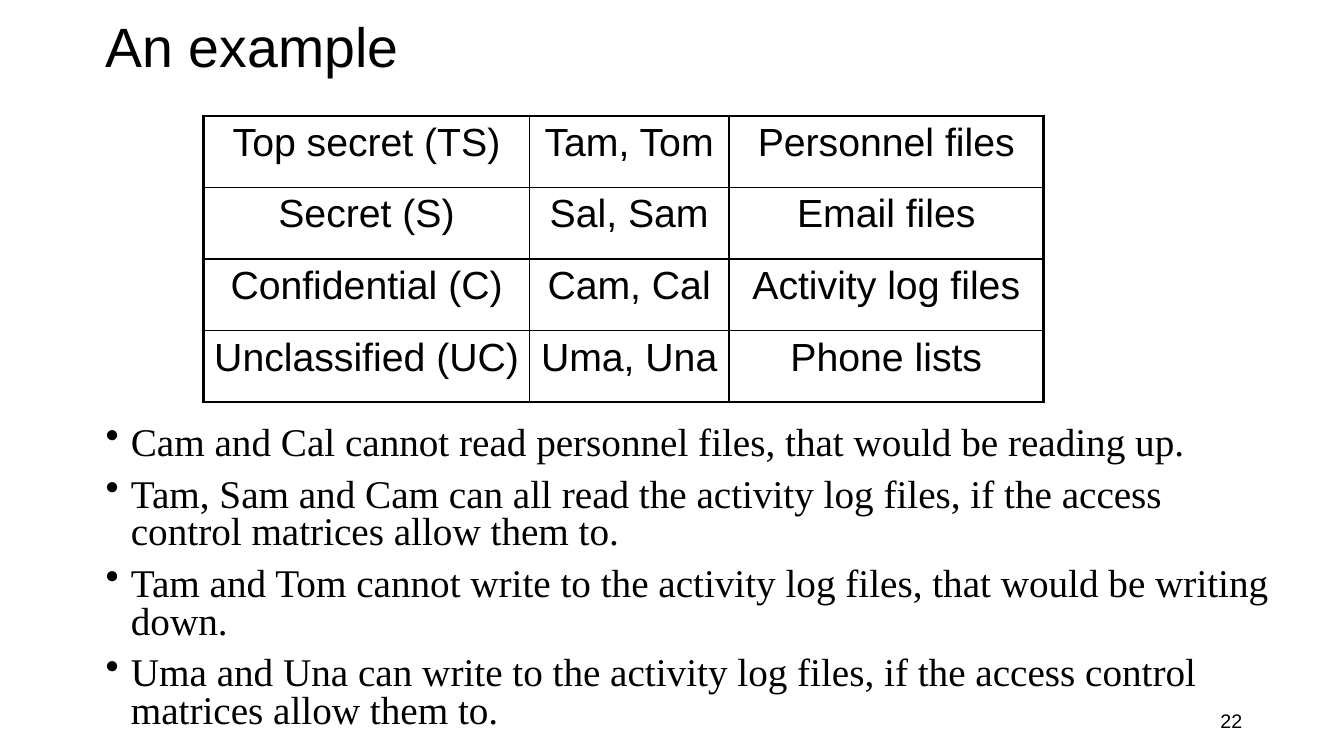
import dataclasses

import pptx
import pptx.dml.color
import pptx.enum.text
import pptx.oxml.ns
import pptx.util
from lxml import etree

Inches = pptx.util.Inches
Pt = pptx.util.Pt
ALIGN = pptx.enum.text.PP_ALIGN
ANCHOR = pptx.enum.text.MSO_ANCHOR


@dataclasses.dataclass(frozen=True)
class Theme:
    ink: str = "000000"
    sans: str = "Arial"
    serif: str = "Times New Roman"
    title: float = 39.6
    body: float = 28
    number: float = 14
    outer_line: float = 2.25
    inner_line: float = 1


class Deck:
    def __init__(self, prs, theme):
        self.theme = theme
        self.slide = prs.slides.add_slide(prs.slide_layouts[6])

    def style(self, p, size, font):
        for r in p.runs:
            r.font.size = Pt(size)
            r.font.name = font
            r.font.color.rgb = pptx.dml.color.RGBColor.from_string(self.theme.ink)

    def text(self, box, lines, size, font, anchor=ANCHOR.MIDDLE,
             align=ALIGN.LEFT, spacing=1.0):
        sp = self.slide.shapes.add_textbox(*map(Inches, box))
        tf = sp.text_frame
        tf.word_wrap = True
        tf.vertical_anchor = anchor
        tf.text = "\n".join(lines)
        for p in tf.paragraphs:
            p.alignment = align
            p.line_spacing = spacing
            self.style(p, size, font)
        return tf

    def bullets(self, box, lines):
        tf = self.text(box, lines, self.theme.body, self.theme.serif,
                       anchor=ANCHOR.TOP, spacing=0.8)
        for p in tf.paragraphs:
            p.space_before = Pt(10)
            pPr = p._p.get_or_add_pPr()
            pPr.set("marL", str(Inches(0.25)))
            pPr.set("indent", str(Inches(-0.25)))
            bullet = etree.SubElement(pPr, pptx.oxml.ns.qn("a:buChar"))
            bullet.set("char", "•")

    def border(self, cell, side, width):
        qn = pptx.oxml.ns.qn
        ln = etree.SubElement(cell._tc.get_or_add_tcPr(), qn("a:ln" + side))
        ln.set("w", str(Pt(width)))
        fill = etree.SubElement(ln, qn("a:solidFill"))
        etree.SubElement(fill, qn("a:srgbClr")).set("val", self.theme.ink)

    def table(self, left, top, widths, row_height, rows):
        last_row, last_col = len(rows) - 1, len(widths) - 1
        frame = self.slide.shapes.add_table(
            len(rows), len(widths), Inches(left), Inches(top),
            Inches(sum(widths)), Inches(row_height * len(rows)))
        table = frame.table
        table.first_row = table.horz_banding = False
        for column, width in zip(table.columns, widths):
            column.width = Inches(width)
        for i, row in enumerate(rows):
            table.rows[i].height = Inches(row_height)
            for j, value in enumerate(row):
                cell = table.cell(i, j)
                cell.text = value
                p = cell.text_frame.paragraphs[0]
                p.alignment = ALIGN.CENTER
                self.style(p, self.theme.body, self.theme.sans)
                # Heavy frame outside, thin rules inside
                outer = {"L": j == 0, "R": j == last_col,
                         "T": i == 0, "B": i == last_row}
                for side, is_outer in outer.items():
                    self.border(cell, side, self.theme.outer_line if is_outer
                                else self.theme.inner_line)
                cell.fill.background()


def main():
    prs = pptx.Presentation()
    prs.slide_width, prs.slide_height = Inches(13.33), Inches(7.5)
    theme = Theme()
    deck = Deck(prs, theme)

    # Slide number and title
    deck.text((9.42, 6.95, 3, 0.4), ["22"], theme.number, theme.sans,
              align=ALIGN.RIGHT)
    deck.text((0.95, 0.14, 8.5, 0.7), ["An example"], theme.title, theme.sans,
              spacing=0.9)

    # Rules that follow from the levels
    deck.bullets((0.95, 4.18, 11.85, 3.03), [
        "Cam and Cal cannot read personnel files, that would be reading up.",
        "Tam, Sam and Cam can all read the activity log files, "
        "if the access control matrices allow them to.",
        "Tam and Tom cannot write to the activity log files, "
        "that would be writing down.",
        "Uma and Una can write to the activity log files, "
        "if the access control matrices allow them to.",
    ])

    # Security levels, people and files
    deck.table(2.02, 1.15, [3.23, 1.98, 3.12], 0.71, [
        ("Top secret (TS)", "Tam, Tom", "Personnel files"),
        ("Secret (S)", "Sal, Sam", "Email files"),
        ("Confidential (C)", "Cam, Cal", "Activity log files"),
        ("Unclassified (UC)", "Uma, Una", "Phone lists"),
    ])

    prs.save("out.pptx")


if __name__ == "__main__":
    main()
